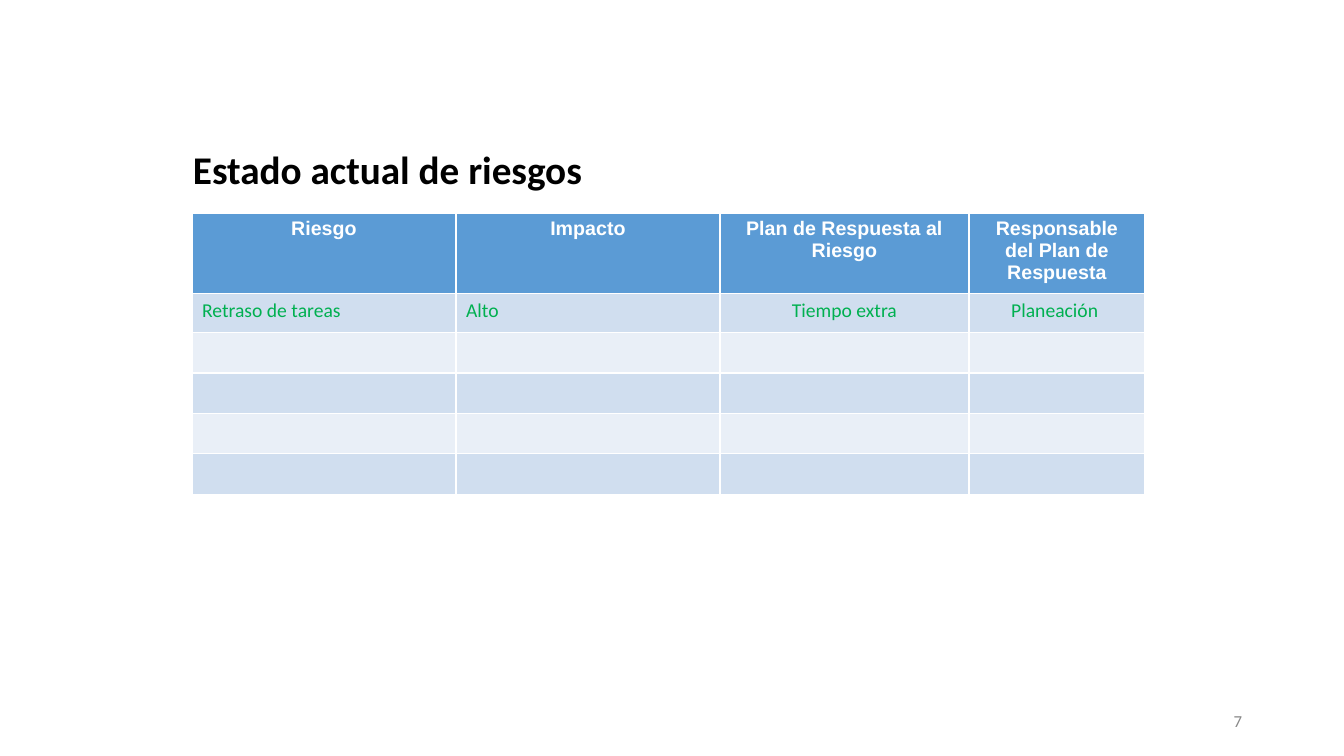
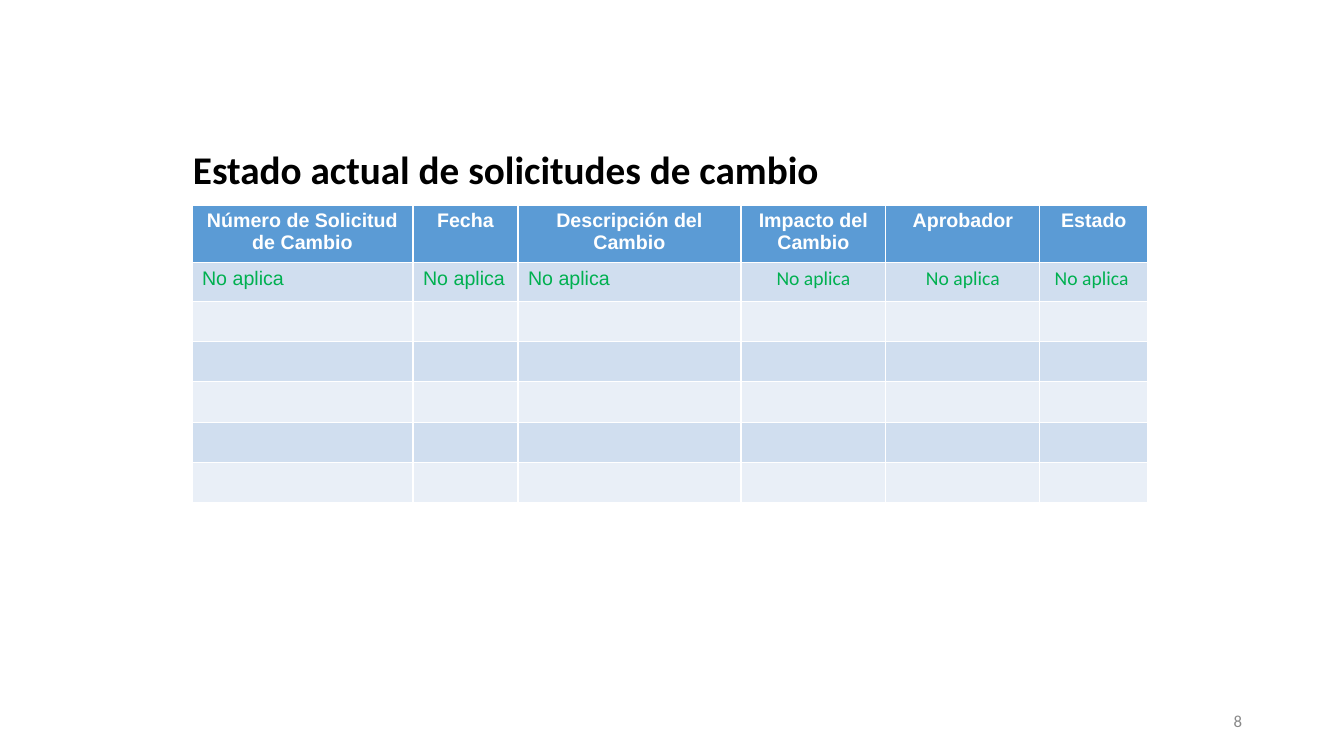
from dataclasses import dataclass

from pptx import Presentation
from pptx.dml.color import RGBColor
from pptx.enum.text import MSO_ANCHOR as Anchor, PP_ALIGN as Align
from pptx.util import Pt

PIXEL = 914400 / 100.8


def px(length):
    return round(length * PIXEL)


@dataclass(frozen=True)
class Theme:
    heading_font: str = "Calibri"
    table_font: str = "Arial"
    title_size: int = 28
    table_size: int = 14
    number_size: int = 12
    title_color: str = "000000"
    number_color: str = "888888"
    header_color: str = "FFFFFF"
    entry_color: str = "00B050"
    header_fill: str = "5B9BD5"
    band_fills: tuple = ("D0DEEF", "E9EFF7")


def write_text(frame, text, *, font, size, color, bold=False, align=Align.LEFT):
    paragraph = frame.paragraphs[0]
    paragraph.alignment = align
    run = paragraph.add_run()
    run.text = text
    run.font.name = font
    run.font.size = Pt(size)
    run.font.bold = bold
    run.font.color.rgb = RGBColor.from_string(color)


class Deck:
    def __init__(self, theme):
        self.theme = theme
        self.presentation = Presentation()
        self.presentation.slide_width = px(1344)
        self.presentation.slide_height = px(756)
        self.slide = None

    def add_slide(self, title, number):
        theme = self.theme
        self.slide = self.presentation.slides.add_slide(self.presentation.slide_layouts[6])
        self.add_text(183, 149, 857, 39, title, font=theme.heading_font,
                      size=theme.title_size, color=theme.title_color, bold=True)
        self.add_text(950, 701, 302, 40, str(number), font=theme.heading_font,
                      size=theme.number_size, color=theme.number_color, align=Align.RIGHT)

    def add_text(self, left, top, width, height, text, **style):
        shape = self.slide.shapes.add_textbox(px(left), px(top), px(width), px(height))
        frame = shape.text_frame
        frame.word_wrap = True
        frame.vertical_anchor = Anchor.MIDDLE
        write_text(frame, text, **style)

    def add_table(self, top, widths, headers, entries, empty_rows, left_columns, left_font):
        theme = self.theme
        row_height = 39
        row_count = 2 + empty_rows
        shape = self.slide.shapes.add_table(row_count, len(widths), px(192), px(top),
                                            px(sum(widths)), px(row_height * row_count))
        table = shape.table
        for column, width in zip(table.columns, widths):
            column.width = px(width)
        for index, header in enumerate(headers):
            self.fill_cell(table.cell(0, index), theme.header_fill, header,
                           font=theme.table_font, color=theme.header_color,
                           bold=True, align=Align.CENTER)
        for row in range(1, row_count):
            fill = theme.band_fills[(row - 1) % 2]
            for index, entry in enumerate(entries):
                on_left = index < left_columns
                self.fill_cell(table.cell(row, index), fill, entry if row == 1 else "",
                               font=left_font if on_left else theme.heading_font,
                               color=theme.entry_color,
                               align=Align.LEFT if on_left else Align.CENTER)

    def fill_cell(self, cell, fill, text, **style):
        cell.fill.solid()
        cell.fill.fore_color.rgb = RGBColor.from_string(fill)
        write_text(cell.text_frame, text, size=self.theme.table_size, **style)


theme = Theme()
deck = Deck(theme)

deck.add_slide("Estado actual de riesgos", 7)
deck.add_table(
    213, [264, 264, 249, 176],
    ["Riesgo", "Impacto", "Plan de Respuesta al Riesgo", "Responsable del Plan de Respuesta"],
    ["Retraso de tareas", "Alto", "Tiempo extra", "Planeación "],
    empty_rows=4, left_columns=2, left_font=theme.heading_font)

deck.add_slide("Estado actual de solicitudes de cambio", 8)
deck.add_table(
    205, [221, 105, 223, 145, 154, 108],
    ["Número de Solicitud de Cambio", "Fecha", "Descripción del Cambio",
     "Impacto del Cambio", "Aprobador", "Estado"],
    ["No aplica"] * 5 + ["No aplica "],
    empty_rows=5, left_columns=3, left_font=theme.table_font)

deck.presentation.save("out.pptx")
